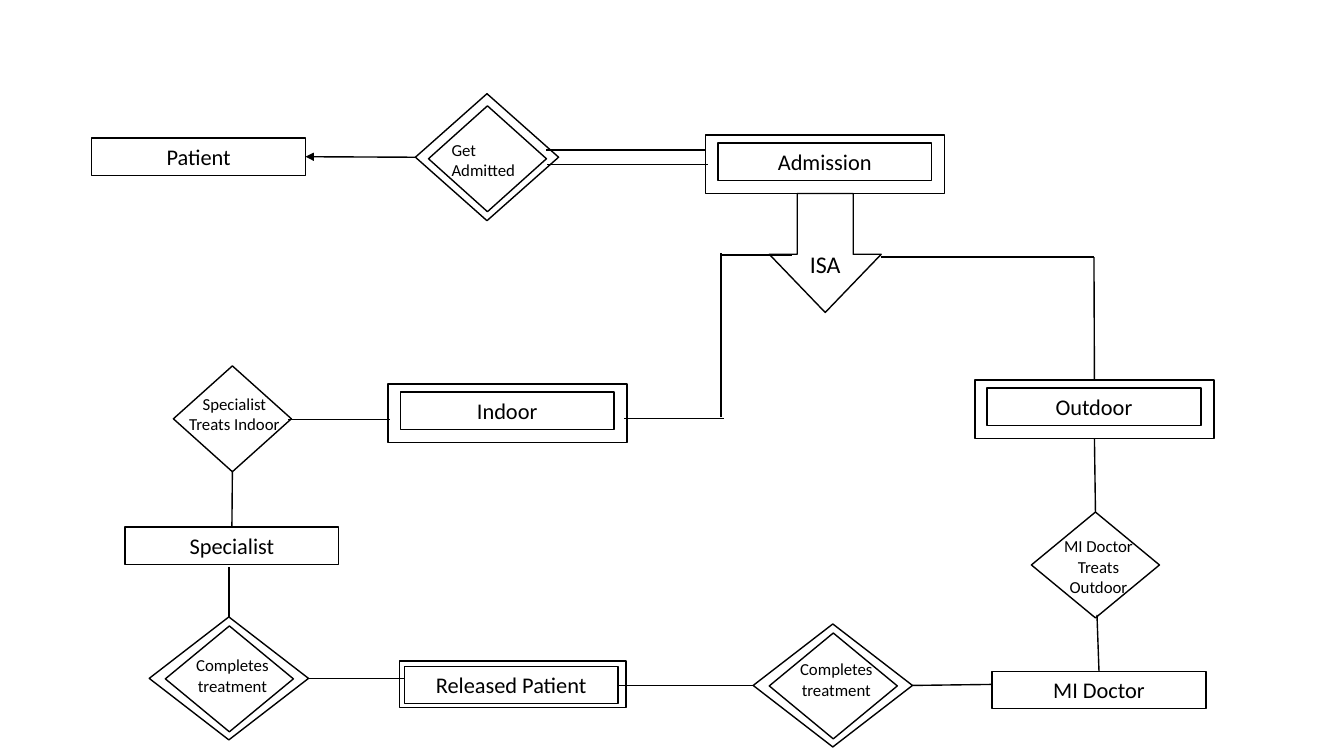
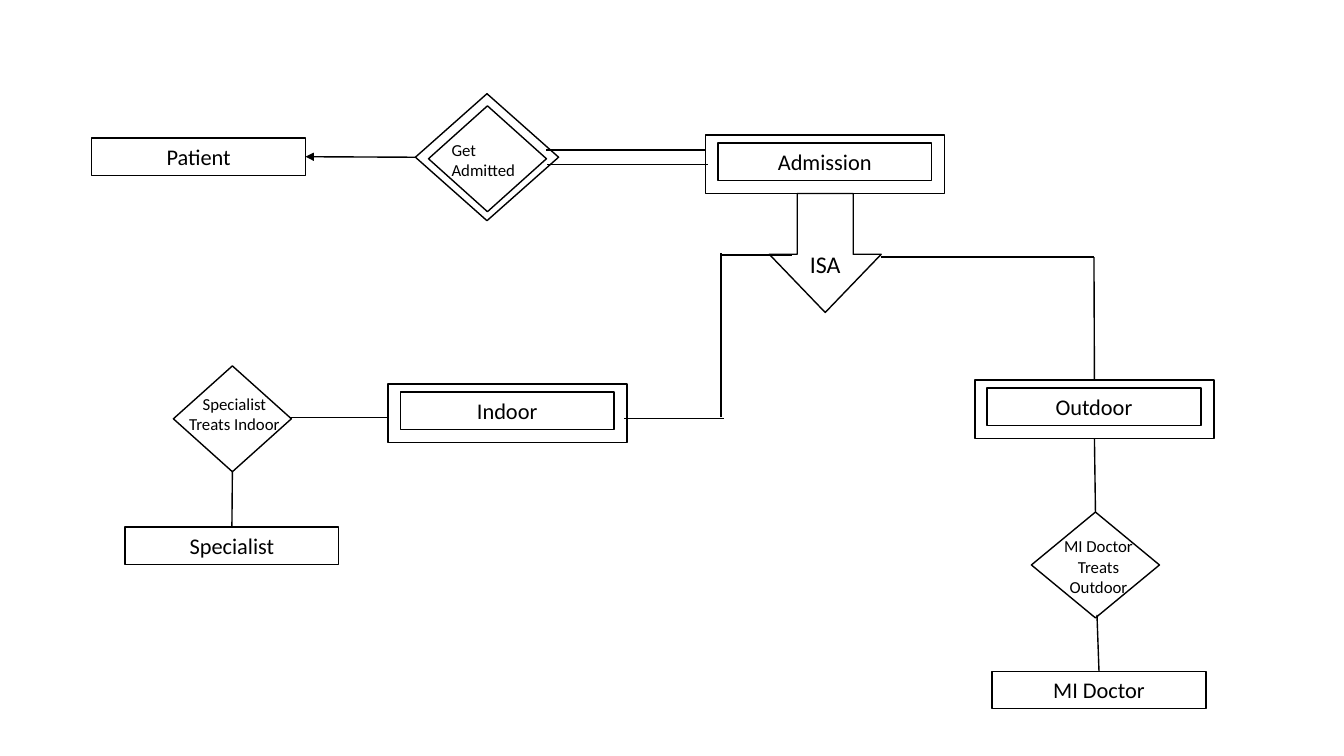
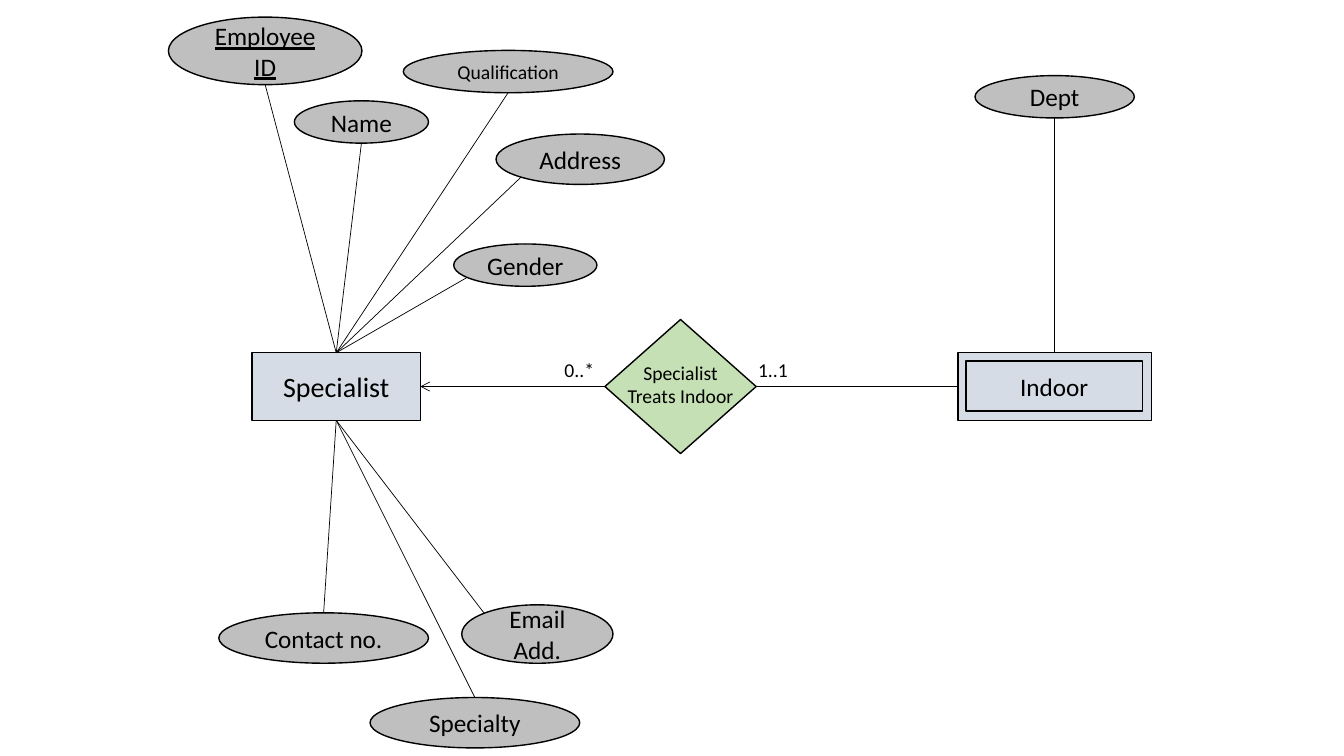
from dataclasses import dataclass
from typing import NamedTuple, Optional, Union

from lxml import etree
from pptx import Presentation
from pptx.dml.color import RGBColor
from pptx.enum import shapes, text
from pptx.oxml import ns
from pptx.util import Inches, Pt


# Theme shared by all slides
@dataclass(frozen=True)
class Theme:
    font: str = "Calibri"
    ink: str = "000000"
    entity_fill: str = "D6DCE5"
    relation_fill: str = "C5E0B4"
    attribute_fill: str = "BFBFBF"
    caption_size: float = 12
    small_size: float = 14
    entity_size: float = 16
    isa_size: float = 17.1
    attribute_size: float = 18
    heading_size: float = 20
    outline: float = 1
    thin: float = 0.5


THEME = Theme()
RECTANGLE = shapes.MSO_SHAPE.RECTANGLE
DIAMOND = shapes.MSO_SHAPE.DIAMOND
ELLIPSE = shapes.MSO_SHAPE.OVAL
CENTER = text.PP_ALIGN.CENTER
LEFT_ALIGNED = text.PP_ALIGN.LEFT
TOP, LEFT, BOTTOM, RIGHT = range(4)


class Box(NamedTuple):
    left: float
    top: float
    width: float
    height: float

    def inches(self) -> list:
        return [Inches(value) for value in self]


class Point(NamedTuple):
    x: float
    y: float


class Joint(NamedTuple):
    node: str
    side: int


@dataclass(frozen=True)
class Node:
    """An entity or relationship; inner is the second outline, relative to box."""
    name: str
    kind: int
    box: Box
    label: str = ""
    size: float = THEME.entity_size
    fill: Optional[str] = None
    inner: Optional[Box] = None


@dataclass(frozen=True)
class Caption:
    label: str
    box: Box
    size: float = THEME.caption_size
    align: int = CENTER
    wrap: bool = True


@dataclass(frozen=True)
class Link:
    begin: Union[Point, Joint]
    end: Union[Point, Joint]
    width: float = THEME.outline
    head: str = ""


@dataclass(frozen=True)
class Attribute:
    """An ellipse; anchor is where its line ends, as fractions of its box."""
    label: str
    box: Box
    owner: Joint
    anchor: Point
    size: float = THEME.attribute_size
    underline: bool = False


# Drawing functions
def write(text_frame, label: str, size: float, align: int = CENTER,
          underline: bool = False) -> None:
    text_frame.text = label
    for paragraph in text_frame.paragraphs:
        paragraph.alignment = align
        for run in paragraph.runs:
            run.font.name = THEME.font
            run.font.size = Pt(size)
            run.font.color.rgb = RGBColor.from_string(THEME.ink)
            if underline:
                run.font.underline = True


def draw_shape(slide, kind: int, box: Box, fill: Optional[str] = None):
    shape = slide.shapes.add_shape(kind, *box.inches())
    shape.shadow.inherit = False
    if fill:
        shape.fill.solid()
        shape.fill.fore_color.rgb = RGBColor.from_string(fill)
    else:
        shape.fill.background()
    shape.line.color.rgb = RGBColor.from_string(THEME.ink)
    shape.line.width = Pt(THEME.outline)
    return shape


def draw_node(slide, node: Node):
    outer = labelled = draw_shape(slide, node.kind, node.box, node.fill)
    if node.inner:
        inner_box = Box(node.box.left + node.inner.left, node.box.top + node.inner.top,
                        node.inner.width, node.inner.height)
        labelled = draw_shape(slide, node.kind, inner_box, node.fill)
    if node.label:
        text_frame = labelled.text_frame
        write(text_frame, node.label, node.size)
        if node.kind == DIAMOND:
            text_frame.word_wrap = False
            text_frame.margin_bottom = Inches(0.1)
    return outer


def draw_caption(slide, caption: Caption) -> None:
    text_frame = slide.shapes.add_textbox(*caption.box.inches()).text_frame
    text_frame.word_wrap = caption.wrap
    text_frame.auto_size = text.MSO_AUTO_SIZE.SHAPE_TO_FIT_TEXT
    write(text_frame, caption.label, caption.size, caption.align)


def draw_link(slide, link: Link, nodes: dict) -> None:
    ends = [end if isinstance(end, Point) else Point(0, 0) for end in (link.begin, link.end)]
    connector = slide.shapes.add_connector(
        shapes.MSO_CONNECTOR.STRAIGHT, *[Inches(value) for end in ends for value in end])
    if isinstance(link.begin, Joint):
        connector.begin_connect(nodes[link.begin.node], link.begin.side)
    if isinstance(link.end, Joint):
        connector.end_connect(nodes[link.end.node], link.end.side)
    connector.line.color.rgb = RGBColor.from_string(THEME.ink)
    connector.line.width = Pt(link.width)
    properties = connector.element.spPr
    if link.head:
        outline = properties.find(ns.qn("a:ln"))
        etree.SubElement(outline, ns.qn("a:tailEnd"), type=link.head)
    etree.SubElement(properties, ns.qn("a:effectLst"))


def draw_attribute(slide, attribute: Attribute, nodes: dict) -> None:
    box, anchor = attribute.box, attribute.anchor
    end = Point(box.left + anchor.x * box.width, box.top + anchor.y * box.height)
    draw_link(slide, Link(attribute.owner, end, THEME.thin), nodes)
    shape = draw_shape(slide, ELLIPSE, box, THEME.attribute_fill)
    write(shape.text_frame, attribute.label, attribute.size, underline=attribute.underline)


def draw_diagram(slide, nodes: list, links: list, captions: list,
                 attributes: tuple = ()) -> None:
    drawn = {node.name: draw_node(slide, node) for node in nodes}
    for link in links:
        draw_link(slide, link, drawn)
    for attribute in attributes:
        draw_attribute(slide, attribute, drawn)
    for caption in captions:
        draw_caption(slide, caption)


def draw_isa(slide) -> None:
    arrow = draw_shape(slide, shapes.MSO_SHAPE.DOWN_ARROW, Box(7.63, 1.92, 1.11, 1.18))
    arrow.adjustments[0] = 0.5
    arrow.adjustments[1] = 0.52
    arrow.text_frame.word_wrap = False
    arrow.text_frame.vertical_anchor = text.MSO_ANCHOR.BOTTOM
    write(arrow.text_frame, "ISA", THEME.isa_size)


def entity(label: str, left: float, top: float) -> Node:
    return Node(label, RECTANGLE, Box(left, top, 2.12, 0.37), label)


def weak_entity(label: str, left: float, top: float) -> Node:
    return Node(label, RECTANGLE, Box(left, top, 2.37, 0.58), label,
                inner=Box(0.12, 0.08, 2.12, 0.37))


def completes(name: str, left: float, top: float) -> Node:
    return Node(name, DIAMOND, Box(left, top, 1.58, 1.22), inner=Box(0.16, 0.09, 1.27, 1.05))


# Admission hierarchy, on the first two slides
ADMISSION_NODES = [
    entity("Patient", 0.91, 1.37),
    entity("Specialist", 1.24, 5.23),
    entity("MI Doctor", 9.84, 6.66),
    weak_entity("Admission", 7, 1.34),
    weak_entity("Indoor", 3.85, 3.81),
    weak_entity("Outdoor", 9.67, 3.77),
    Node("Get Admitted", DIAMOND, Box(4.12, 0.93, 1.42, 1.26),
         inner=Box(0.13, 0.12, 1.17, 1.05)),
    Node("Treats Indoor", DIAMOND, Box(1.72, 3.63, 1.17, 1.05)),
    Node("Treats Outdoor", DIAMOND, Box(10.23, 5.08, 1.27, 1.05)),
]
ADMISSION_CAPTIONS = [
    Caption("Get\nAdmitted", Box(4.38, 1.34, 1.15, 0.5), align=LEFT_ALIGNED),
    Caption("Specialist\nTreats Indoor", Box(1.75, 3.86, 1.15, 0.5)),
    Caption("MI Doctor\nTreats Outdoor", Box(10.32, 5.27, 1.15, 0.71)),
]
ADMISSION_LINKS = [
    Link(Joint("Get Admitted", LEFT), Joint("Patient", RIGHT), head="triangle"),
    Link(Point(5.42, 1.49), Point(7, 1.49)),
    Link(Point(5.43, 1.63), Point(7.02, 1.63)),
    Link(Point(6.19, 4.15), Point(7.18, 4.15)),
    Link(Point(7.15, 4.14), Point(7.15, 2.51)),
    Link(Point(7.15, 2.53), Point(7.86, 2.53)),
    Link(Point(8.74, 2.55), Point(10.85, 2.55)),
    Link(Point(10.85, 2.55), Joint("Outdoor", TOP)),
    Link(Joint("Outdoor", BOTTOM), Joint("Treats Outdoor", TOP)),
    Link(Point(10.88, 6.1), Joint("MI Doctor", TOP)),
    Link(Joint("Treats Indoor", BOTTOM), Joint("Specialist", TOP)),
]

# Release of the patient, added on the first slide
RELEASE_NODES = [
    Node("Released Patient", RECTANGLE, Box(3.96, 6.56, 2.25, 0.46), "Released Patient",
         inner=Box(0.05, 0.05, 2.12, 0.37)),
    completes("Indoor treatment", 1.48, 6.12),
    completes("Outdoor treatment", 7.47, 6.19),
]
RELEASE_CAPTIONS = [
    Caption("Completes\ntreatment", Box(1.73, 6.45, 1.15, 0.5)),
    Caption("Completes\ntreatment", Box(7.72, 6.49, 1.15, 0.5)),
]
RELEASE_LINKS = [
    Link(Point(2.86, 4.16), Point(3.87, 4.16)),
    Link(Point(2.27, 5.63), Joint("Indoor treatment", TOP)),
    Link(Joint("Indoor treatment", RIGHT), Point(4.01, 6.73)),
    Link(Point(6.12, 6.8), Joint("Outdoor treatment", LEFT)),
    Link(Joint("Outdoor treatment", RIGHT), Point(9.84, 6.79)),
]
INDOOR_LINK = Link(Point(2.87, 4.14), Point(3.85, 4.14))

# Specialist and indoor relationship, on the third slide
SPECIALIST_NODES = [
    Node("Treats", DIAMOND, Box(6, 3.17, 1.5, 1.33), "Specialist\nTreats Indoor",
         THEME.small_size, THEME.relation_fill),
    Node("Specialist", RECTANGLE, Box(2.5, 3.5, 1.67, 0.67), "Specialist",
         THEME.heading_size, THEME.entity_fill),
    Node("Indoor", RECTANGLE, Box(9.5, 3.5, 1.92, 0.67), "Indoor",
         THEME.attribute_size, THEME.entity_fill, Box(0.08, 0.08, 1.75, 0.5)),
]
SPECIALIST_LINKS = [
    Link(Joint("Treats", LEFT), Joint("Specialist", RIGHT), THEME.thin, "arrow"),
    Link(Joint("Treats", RIGHT), Joint("Indoor", LEFT), THEME.thin),
]
SPECIALIST_CAPTIONS = [
    Caption(label, Box(left, 3.5, 0.5, 0.34), THEME.small_size, LEFT_ALIGNED, False)
    for label, left in (("1..1", 7.42), ("0..*", 5.5))
]
ABOVE, BELOW = Joint("Specialist", TOP), Joint("Specialist", BOTTOM)
AT_TOP, AT_BOTTOM = Point(0.5, 0), Point(0.5, 1)
AT_UPPER_LEFT, AT_LOWER_LEFT = Point(0.15, 0.15), Point(0.15, 0.85)
SPECIALIST_ATTRIBUTES = (
    Attribute("Employee ID", Box(1.67, 0.17, 1.92, 0.67), ABOVE, AT_BOTTOM, underline=True),
    Attribute("Name", Box(2.92, 1, 1.33, 0.42), ABOVE, AT_BOTTOM),
    Attribute("Qualification", Box(4, 0.5, 2.08, 0.42), ABOVE, AT_BOTTOM, THEME.small_size),
    Attribute("Address", Box(4.92, 1.33, 1.67, 0.5), ABOVE, AT_LOWER_LEFT),
    Attribute("Gender", Box(4.5, 2.42, 1.42, 0.42), ABOVE, AT_TOP),
    Attribute("Contact no.", Box(2.17, 6.08, 2.08, 0.5), BELOW, AT_TOP),
    Attribute("Email Add.", Box(4.58, 6, 1.5, 0.58), BELOW, AT_UPPER_LEFT),
    Attribute("Specialty", Box(3.67, 6.92, 2.08, 0.5), BELOW, AT_TOP),
    Attribute("Dept", Box(9.67, 0.75, 1.58, 0.42), Joint("Indoor", TOP), AT_BOTTOM),
)


def main() -> None:
    presentation = Presentation()
    presentation.slide_width, presentation.slide_height = Inches(13.33), Inches(7.5)
    blank = presentation.slide_layouts[6]
    release, admission, specialist = [presentation.slides.add_slide(blank) for _ in range(3)]

    draw_diagram(release, ADMISSION_NODES + RELEASE_NODES, ADMISSION_LINKS + RELEASE_LINKS,
                 ADMISSION_CAPTIONS + RELEASE_CAPTIONS)
    draw_diagram(admission, ADMISSION_NODES, ADMISSION_LINKS + [INDOOR_LINK],
                 ADMISSION_CAPTIONS)
    for slide in (release, admission):
        draw_isa(slide)
    draw_diagram(specialist, SPECIALIST_NODES, SPECIALIST_LINKS, SPECIALIST_CAPTIONS,
                 SPECIALIST_ATTRIBUTES)
    presentation.save("out.pptx")


if __name__ == "__main__":
    main()
